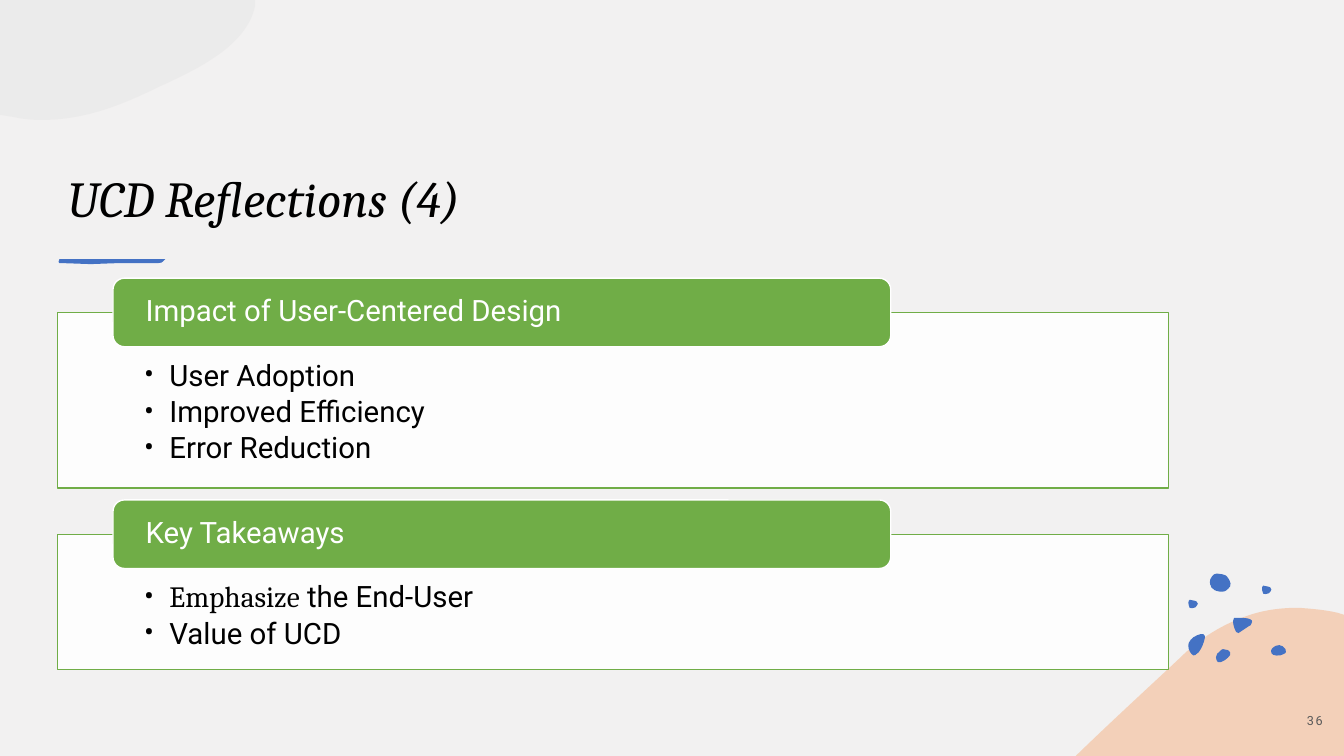
import pptx
import pptx.util
import pptx.dml.color
import pptx.enum.shapes
import pptx.enum.text
import pptx.oxml.ns
import lxml.etree

# Content
TITLE = "UCD Reflections (4)"
PAGE = "36"
CARDS = [
    ("Impact of User-Centered Design",
     [["User Adoption"], ["Improved Efficiency"], ["Error Reduction"]]),
    ("Key Takeaways",
     [[("Emphasize", "Cambria"), " the End-User"], ["Value of UCD"]]),
]

# Outlines in inches: a start point, then lines (2 numbers) or curves (6 numbers)
HILL = [(12.88, 6.03), (13.01, 6.04, 13.14, 6.05, 13.27, 6.08), (13.33, 6.1),
        (13.33, 7.5), (10.67, 7.5), (10.68, 7.49),
        (11.02, 7.16, 11.37, 6.84, 11.69, 6.54),
        (11.91, 6.32, 12.14, 6.19, 12.37, 6.11),
        (12.54, 6.05, 12.71, 6.03, 12.88, 6.03)]
CLOUD = [(0, 0), (2.53, 0), (2.53, 0.06), (2.45, 0.44, 2, 0.67, 1.58, 0.86),
         (1.23, 1.03, 0.86, 1.19, 0.41, 1.19),
         (0.31, 1.19, 0.22, 1.18, 0.13, 1.16), (0, 1.14)]
STROKE = [(0.59, 2.57), (1.11, 2.57), (1.64, 2.57),
          (1.61, 2.58, 1.63, 2.61, 1.57, 2.61), (1.18, 2.61), (0.9, 2.62),
          (0.61, 2.61), (0.57, 2.62, 0.58, 2.58, 0.59, 2.57)]
SPECK = [(11.79, 6), (11.79, 6, 11.78, 5.96, 11.8, 5.95),
         (11.82, 5.95, 11.83, 5.95, 11.85, 5.96),
         (11.86, 5.96, 11.88, 5.97, 11.88, 5.99),
         (11.88, 6, 11.87, 6.01, 11.86, 6.02),
         (11.86, 6.02, 11.86, 6.03, 11.84, 6.03),
         (11.83, 6.03, 11.81, 6.04, 11.8, 6.03),
         (11.79, 6.01, 11.79, 6.01, 11.79, 6)]
SPOTS = [
    [(12.13, 6.44), (12.15, 6.44, 12.16, 6.44, 12.18, 6.45),
     (12.2, 6.46, 12.21, 6.48, 12.2, 6.5), (12.18, 6.53, 12.12, 6.58, 12.08, 6.57),
     (12.07, 6.56, 12.06, 6.54, 12.06, 6.52), (12.06, 6.5, 12.08, 6.47, 12.1, 6.46),
     (12.11, 6.45, 12.12, 6.44, 12.13, 6.44)],
    [(11.91, 6.29), (11.93, 6.29, 11.95, 6.29, 11.95, 6.31), (11.95, 6.33),
     (11.94, 6.38, 11.92, 6.43, 11.89, 6.47), (11.87, 6.49, 11.84, 6.52, 11.82, 6.49),
     (11.79, 6.46, 11.78, 6.41, 11.79, 6.38), (11.8, 6.35, 11.82, 6.34, 11.84, 6.32),
     (11.85, 6.32, 11.88, 6.29, 11.91, 6.29)],
    [(12.69, 6.4), (12.71, 6.4, 12.74, 6.42, 12.75, 6.44),
     (12.76, 6.46, 12.76, 6.48, 12.73, 6.49), (12.7, 6.51, 12.62, 6.51, 12.61, 6.48),
     (12.6, 6.46, 12.61, 6.44, 12.62, 6.43), (12.64, 6.41, 12.66, 6.4, 12.69, 6.4)],
    [(12.01, 5.81), (12, 5.81, 11.99, 5.75, 12.02, 5.72),
     (12.04, 5.7, 12.04, 5.69, 12.07, 5.69), (12.1, 5.69, 12.14, 5.7, 12.16, 5.71),
     (12.18, 5.73, 12.22, 5.78, 12.2, 5.82), (12.17, 5.85, 12.16, 5.87, 12.12, 5.87),
     (12.09, 5.87, 12.04, 5.86, 12.03, 5.84), (12.01, 5.83, 12.01, 5.82, 12.01, 5.81)],
    [(12.28, 6.13), (12.34, 6.13, 12.45, 6.13, 12.41, 6.19),
     (12.41, 6.2, 12.4, 6.21, 12.39, 6.21), (12.36, 6.23, 12.33, 6.25, 12.3, 6.27),
     (12.29, 6.28, 12.28, 6.29, 12.26, 6.27), (12.24, 6.23, 12.23, 6.2, 12.23, 6.16),
     (12.23, 6.15, 12.23, 6.14, 12.24, 6.13)],
]
SPECKS = [(0, 0), (0.73, -0.14)]


class Theme:
    paper, white, black = "F2F1F1", "FFFFFF", "000000"
    green, blue, peach = "70AD47", "4472C4", "F4B183"
    mist, gray = "DADADA", "595959"
    head, body = "Cambria", "Roboto"
    big, mid, small = 36, 21, 9


Inch, Pt, Tag = pptx.util.Inches, pptx.util.Pt, pptx.oxml.ns.qn
Kind = pptx.enum.shapes.MSO_SHAPE
Anchor = pptx.enum.text.MSO_ANCHOR
Align = pptx.enum.text.PP_ALIGN
WIDE, HIGH = 13.33, 7.5

deck = pptx.Presentation()
deck.slide_width, deck.slide_height = Inch(WIDE), Inch(HIGH)
slide = deck.slides.add_slide(deck.slide_layouts[5])


def color(code):
    return pptx.dml.color.RGBColor.from_string(code)


def paint(shape, fill, alpha=100, line=None):
    shape.shadow.inherit = False
    shape.fill.solid()
    shape.fill.fore_color.rgb = color(fill)
    if alpha < 100:
        tone = shape.fill._xPr.find(".//" + Tag("a:srgbClr"))
        lxml.etree.SubElement(tone, Tag("a:alpha"), val=str(alpha * 1000))
    if line:
        shape.line.color.rgb = color(line)
        shape.line.width = Pt(1)
    else:
        shape.line.fill.background()
    return shape


def block(kind, box, fill, **look):
    return paint(slide.shapes.add_shape(kind, *map(Inch, box)), fill, **look)


def blob(parts, fill, alpha=100, shift=(0, 0)):
    """Draw an outline through all points, then bend the curved parts."""
    grid = [((part[i] + shift[0]) * 1000, (part[i + 1] + shift[1]) * 1000)
            for part in parts for i in range(0, len(part), 2)]
    # The closing zero-length line keeps every point as its own segment
    pen = slide.shapes.build_freeform(*grid[0], scale=914.4)
    pen.add_line_segments(grid[1:], close=True)
    shape = pen.convert_to_shape()
    lines = iter(list(shape._element.iter(Tag("a:lnTo"))))
    for part in parts[1:]:
        first = next(lines)
        if len(part) == 6:
            first.tag = Tag("a:cubicBezTo")
            for other in (next(lines), next(lines)):
                first.append(other[0])
                other.getparent().remove(other)
    return paint(shape, fill, alpha)


def write(shape, lines, size=Theme.mid, font=Theme.body, tint=Theme.black,
          inset=(0.1, 0.05, 0.1, 0.05), anchor=Anchor.MIDDLE, align=Align.LEFT,
          bullet=False, after=0, slant=False, track=0, lead=0.9):
    """Fill a shape with lines; each line is a list of runs or (run, font) pairs."""
    frame = shape.text_frame
    frame.word_wrap = True
    frame.auto_size = pptx.enum.text.MSO_AUTO_SIZE.NONE
    frame.vertical_anchor = anchor
    (frame.margin_left, frame.margin_top,
     frame.margin_right, frame.margin_bottom) = map(Inch, inset)
    for row, line in enumerate(lines):
        para = frame.add_paragraph() if row else frame.paragraphs[0]
        para.alignment, para.line_spacing = align, lead
        para.space_before, para.space_after = Pt(0), Pt(after)
        if bullet:
            props = para._p.get_or_add_pPr()
            props.set("marL", str(Inch(0.25)))
            props.set("indent", str(-Inch(0.25)))
            lxml.etree.SubElement(props, Tag("a:buFont"), typeface=font)
            lxml.etree.SubElement(props, Tag("a:buChar"), char="•")
        for part in line:
            text, face = (part, font) if isinstance(part, str) else part
            run = para.add_run()
            run.text = text
            run.font.name, run.font.size = face, Pt(size)
            run.font.italic, run.font.color.rgb = slant, color(tint)
            if track:
                run.font._element.set("spc", str(track))


# Backdrop
slide.background.fill.solid()
slide.background.fill.fore_color.rgb = color(Theme.paper)
blob(CLOUD, Theme.mist, alpha=25)
blob(HILL, Theme.peach, alpha=50)

# Title and its brush stroke
LEFT, SPAN = 0.57, 11.02
title = slide.shapes.title
title.left, title.top, title.width, title.height = map(Inch, (LEFT, 0.87, SPAN, 1.45))
write(title, [[TITLE]], size=Theme.big, font=Theme.head, slant=True,
      anchor=Anchor.BOTTOM)
blob(STROKE, Theme.blue)

# Blue spots
for spot in SPOTS:
    blob(spot, Theme.blue)
for shift in SPECKS:
    blob(SPECK, Theme.blue, shift=shift)

# Cards: a green tab over the top edge of each list
TAB, GAP = 0.68, 0.12
top = 2.76
for head, items in CARDS:
    edge, tall = top + TAB / 2, 0.54 + 0.4 * len(items)
    card = block(Kind.RECTANGLE, (LEFT, edge, SPAN, tall), Theme.white,
                 alpha=90, line=Theme.green)
    write(card, items, inset=(0.86, 0.48, 0.86, 0.16), anchor=Anchor.TOP,
          bullet=True, after=3.15)
    tab = block(Kind.ROUNDED_RECTANGLE, (LEFT + SPAN * 0.05, top, SPAN * 0.7, TAB),
                Theme.green, line=Theme.white)
    write(tab, [[head]], tint=Theme.white, inset=(0.29, 0, 0.29, 0))
    top = edge + tall + GAP

# Page number
page = slide.shapes.add_textbox(*map(Inch, (WIDE - 0.58, 6.95, 0.58, 0.4)))
write(page, [[PAGE]], size=Theme.small, tint=Theme.gray, align=Align.CENTER,
      track=110, lead=1.0)

deck.save("out.pptx")
